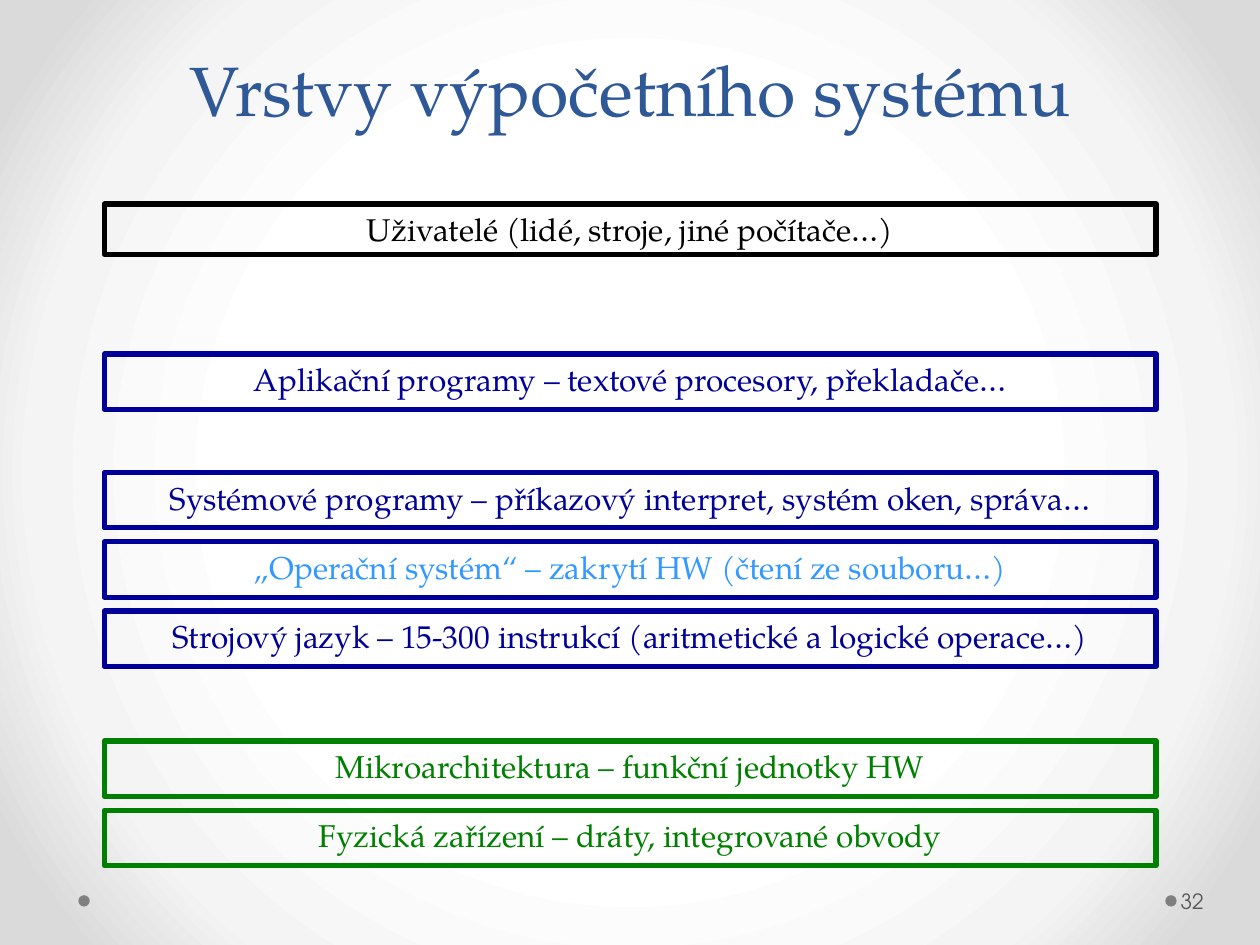
from lxml import etree
from pptx import Presentation
from pptx.dml.color import RGBColor
from pptx.enum.shapes import MSO_SHAPE
from pptx.enum.text import MSO_ANCHOR, MSO_AUTO_SIZE, PP_ALIGN
from pptx.oxml.ns import qn
from pptx.util import Pt

RECTANGLE, OVAL = MSO_SHAPE.RECTANGLE, MSO_SHAPE.OVAL
CENTER, LEFT = PP_ALIGN.CENTER, PP_ALIGN.LEFT
TOP, MIDDLE, BOTTOM = MSO_ANCHOR.TOP, MSO_ANCHOR.MIDDLE, MSO_ANCHOR.BOTTOM
GROW, FIXED = MSO_AUTO_SIZE.SHAPE_TO_FIT_TEXT, MSO_AUTO_SIZE.NONE

SERIF, SANS = "TeX Gyre Pagella", "TeX Gyre Adventor"
COLORS = {
    "title": "2F5897", "users": "000000", "software": "000099",
    "system": "3399FF", "hardware": "008000", "dot": "808080",
    "number": "595959",
}
BACKGROUND_STOPS = [(50, "FFFFFF"), (76, "F4F4F4"), (92, "DADADA")]

LAYER_PITCH = 39.6
# Each group: top, layer height, line colour, [(text, text colour)]
LAYER_GROUPS = [
    (116.6, 28.8, "users", [("Uživatelé (lidé, stroje, jiné počítače…)", "users")]),
    (202.3, 31.7, "software", [
        ("Aplikační programy – textové procesory, překladače…", "software")]),
    (270, 31.7, "software", [
        ("Systémové programy – příkazový interpret, systém oken, správa…", "software"),
        ("„Operační systém“ – zakrytí HW (čtení ze souboru…)", "system"),
        ("Strojový jazyk – 15-300 instrukcí (aritmetické a logické operace…)", "software")]),
    (423.4, 31.7, "hardware", [
        ("Mikroarchitektura – funkční jednotky HW", "hardware"),
        ("Fyzická zařízení – dráty, integrované obvody", "hardware")]),
]


def color(name):
    return RGBColor.from_string(COLORS[name])


def write(shape, text, font, size, color_name, align, anchor, auto_size=FIXED):
    frame = shape.text_frame
    frame.text = text
    frame.word_wrap = True
    frame.auto_size = auto_size
    frame.vertical_anchor = anchor
    para = frame.paragraphs[0]
    para.alignment = align
    span = para.runs[0]
    span.font.name = font
    span.font.size = Pt(size)
    span.font.color.rgb = color(color_name)
    return para


def paint_background(page):
    """Fill the page with a gradient that spreads in circles from its centre."""
    page.background.fill.gradient()
    gradient = page.element.find(".//" + qn("a:gradFill"))
    for child in list(gradient):
        gradient.remove(child)
    stops = etree.SubElement(gradient, qn("a:gsLst"))
    for percent, value in BACKGROUND_STOPS:
        stop = etree.SubElement(stops, qn("a:gs"), pos=str(percent * 1000))
        etree.SubElement(stop, qn("a:srgbClr"), val=value)
    circle = etree.SubElement(gradient, qn("a:path"), path="circle")
    etree.SubElement(circle, qn("a:fillToRect"), l="50000", t="50000", r="50000", b="50000")


def add_title(page, left, top, width, height):
    title = page.shapes.title
    title.left, title.top = Pt(left), Pt(top)
    title.width, title.height = Pt(width), Pt(height)
    para = write(title, "Vrstvy výpočetního systému", SERIF, 40, "title", CENTER, BOTTOM)
    para.line_spacing = Pt(58)


def add_layer(page, left, top, width, height, text, line_color, text_color):
    layer = page.shapes.add_shape(RECTANGLE, Pt(left), Pt(top), Pt(width), Pt(height))
    layer.shadow.inherit = False
    layer.fill.background()
    layer.line.color.rgb = color(line_color)
    layer.line.width = Pt(3)
    write(layer, text, SERIF, 18, text_color, CENTER, TOP, GROW)


def add_layers(page, left, width):
    for top, height, line_color, layers in LAYER_GROUPS:
        for index, (text, text_color) in enumerate(layers):
            add_layer(page, left, top + index * LAYER_PITCH, width, height,
                      text, line_color, text_color)


def add_footer(page, left, top, width, height):
    """Put a dot at each end of the footer and the page number after the last."""
    dot_size, number_width = 6.5, 44
    number_left = left + width - number_width
    for dot_left in (left, number_left - dot_size):
        dot = page.shapes.add_shape(OVAL, Pt(dot_left), Pt(top + (height - dot_size) / 2),
                                    Pt(dot_size), Pt(dot_size))
        dot.shadow.inherit = False
        dot.fill.solid()
        dot.fill.fore_color.rgb = color("dot")
        dot.line.fill.background()
    number = page.shapes.add_textbox(Pt(number_left), Pt(top), Pt(number_width), Pt(height))
    write(number, "32", SANS, 12, "number", LEFT, MIDDLE)
    frame = number.text_frame
    frame.margin_left = Pt(2.2)
    frame.margin_right = Pt(3.6)


def main():
    deck = Presentation()
    deck.slide_width, deck.slide_height = Pt(720), Pt(540)
    page = deck.slides.add_slide(deck.slide_layouts[5])
    paint_background(page)
    add_title(page, 36, 21, 648, 57)
    add_layers(page, 59.6, 601)
    add_footer(page, 44.8, 500.4, 671.6, 28.8)
    deck.save("out.pptx")


if __name__ == "__main__":
    main()
